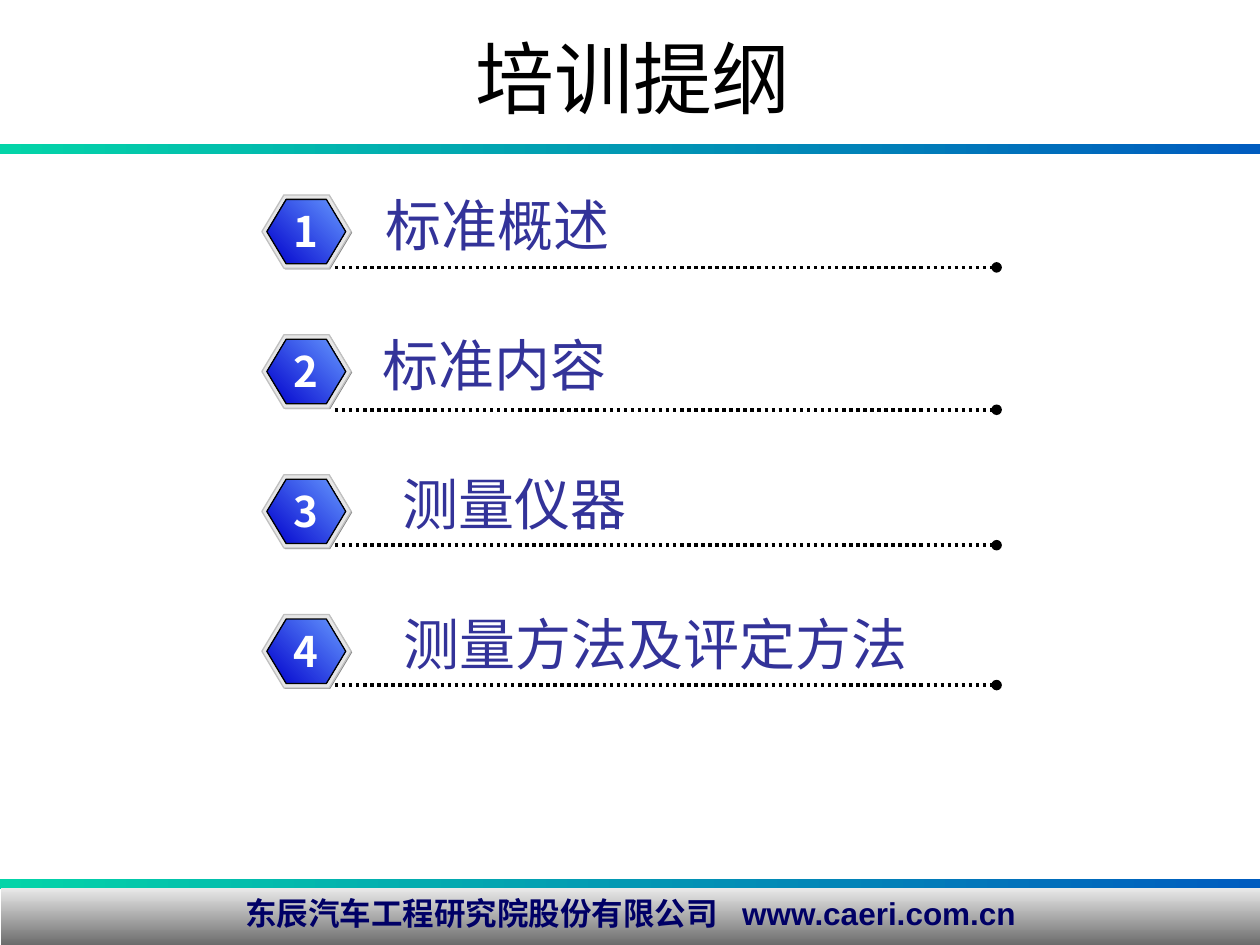
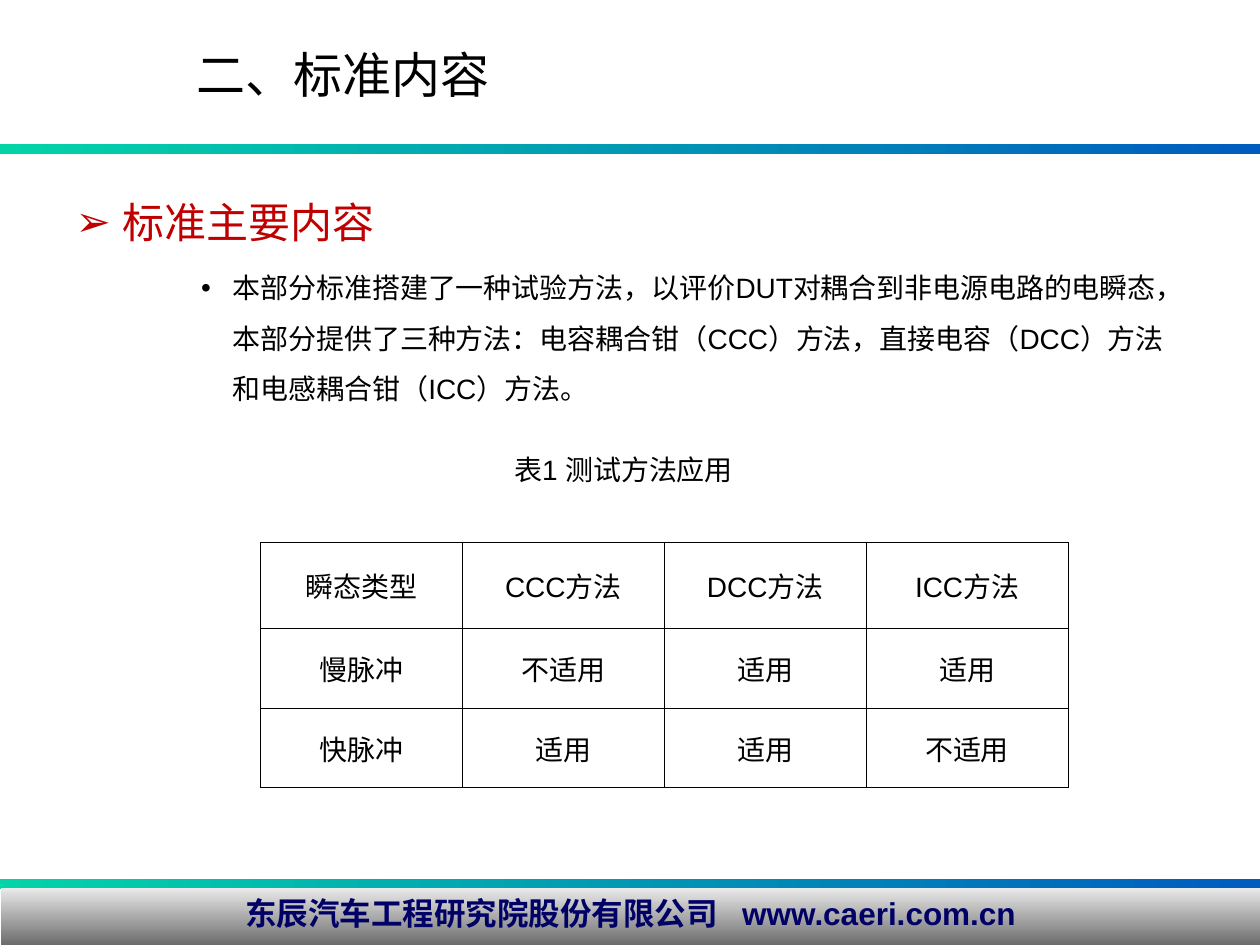
"""Build the training outline slide and the standard content slide."""
from pptx import Presentation
from pptx.dml.color import RGBColor as Rgb
from pptx.enum.dml import MSO_LINE as Dash
from pptx.enum.shapes import MSO_CONNECTOR as Link, MSO_SHAPE as Preset
from pptx.enum.text import MSO_ANCHOR as Anchor, MSO_AUTO_SIZE as Fit, PP_ALIGN as Align
from pptx.oxml import parse_xml
from pptx.oxml.ns import nsdecls, qn
from pptx.oxml.xmlchemy import OxmlElement as Node
from pptx.util import Cm, Pt

COLOURS = {
    "black": "000000", "white": "FFFFFF", "red": "C00000", "navy": "000066",
    "indigo": "333399", "mint": "03D4A8", "ocean": "005CBF", "mist": "EAEAEA",
    "slate": "6C6C6C", "shade": "808080", "rim": "E6E6E6", "rim_edge": "C0C0C0",
    "core_dark": "0000CC", "core_light": "6699FF",
}
CJK = "Noto Sans CJK SC"
STYLES = {
    "outline_title": ({"name": CJK, "size": Pt(45)}, "black"),
    "section_title": ({"name": "Calibri", "size": Pt(28)}, "black"),
    "topic": ({"name": CJK, "size": Pt(32)}, "indigo"),
    "number": ({"name": CJK, "size": Pt(24), "bold": True}, "white"),
    "heading": ({"name": "Arial", "size": Pt(24)}, "red"),
    "plain": ({"name": "Arial", "size": Pt(16)}, "black"),
    "footer": ({"name": "Arial", "size": Pt(18), "bold": True}, "navy"),
}
TOPICS = [("标准概述", 7.52, 5.39), ("标准内容", 7.46, 8.26),
          ("测量仪器", 7.87, 10.99), ("测量方法及评定方法", 7.88, 13.81)]
METHODS = [
    ("瞬态类型", "CCC方法", "DCC方法", "ICC方法"),
    ("慢脉冲", "不适用", "适用", "适用"),
    ("快脉冲", "适用", "适用", "不适用"),
]
SUMMARY = ("本部分标准搭建了一种试验方法，以评价DUT对耦合到非电源电路的电瞬态，"
           "本部分提供了三种方法：电容耦合钳（CCC）方法，直接电容（DCC）方法和"
           "电感耦合钳（ICC）方法。")


def rgb(colour):
    """Return the named colour."""
    return Rgb.from_string(COLOURS[colour])


def assign(target, **values):
    """Set each given attribute on the target."""
    for attribute, value in values.items():
        setattr(target, attribute, value)


def write(paragraph, text, style, align=Align.CENTER):
    """Add a run in one of the shared text styles and return it."""
    paragraph.alignment = align
    run = paragraph.add_run()
    run.text = text
    values, colour = STYLES[style]
    assign(run.font, **values)
    run.font.color.rgb = rgb(colour)
    east_asian = Node("a:ea")
    east_asian.set("typeface", CJK)
    run.font._element.find(qn("a:latin")).addnext(east_asian)
    return run


def place(part, left, top, width, height):
    """Move and size a part in centimetres."""
    assign(part, left=Cm(left), top=Cm(top), width=Cm(width), height=Cm(height))


def paint(part, colours, angle=0):
    """Fill with one colour, or with a gradient between two."""
    if len(colours) == 1:
        part.fill.solid()
        part.fill.fore_color.rgb = rgb(colours[0])
        return
    part.fill.gradient()
    part.fill.gradient_angle = angle
    for stop, colour in zip(part.fill.gradient_stops, colours):
        stop.color.rgb = rgb(colour)


def add_block(slide, preset, box, colours, angle=0, edge=None):
    """Add a filled preset shape, outlined if an edge colour is given."""
    block = slide.shapes.add_shape(preset, *map(Cm, box))
    block.shadow.inherit = False
    paint(block, colours, angle)
    if edge:
        block.line.color.rgb = rgb(edge)
        block.line.width = Pt(0.75)
    else:
        block.line.fill.background()
    return block


def add_label(slide, box, text, style, align=Align.CENTER, wrap=False, anchor=Anchor.TOP):
    """Add a single-paragraph text box that grows with its text."""
    frame = slide.shapes.add_textbox(*map(Cm, box)).text_frame
    assign(frame, word_wrap=wrap, vertical_anchor=anchor, auto_size=Fit.SHAPE_TO_FIT_TEXT)
    write(frame.paragraphs[0], text, style, align)


def add_title(slide, box, text, style, align, anchor):
    """Place and fill the title placeholder."""
    title = slide.shapes.title
    place(title, *box)
    assign(title.text_frame, vertical_anchor=anchor, auto_size=Fit.NONE)
    write(title.text_frame.paragraphs[0], text, style, align)


def add_master_bands(slide, master):
    """Draw both gradient bands and the footer, then hand them to the master."""
    bands = [add_block(slide, Preset.RECTANGLE, (0, top, 25.4, 0.2), ("mint", "ocean"))
             for top in (17.73, 2.9)]
    footer = add_block(slide, Preset.RECTANGLE, (0.02, 17.9, 25.38, 1.15),
                       ("mist", "slate"), 270)
    footer.text_frame.vertical_anchor = Anchor.TOP
    line = footer.text_frame.paragraphs[0]
    write(line, "东辰汽车工程研究院股份有限公司", "footer")
    gap = write(line, " ", "footer")
    gap.font._element.set("spc", "1000")
    write(line, "www.caeri.com.cn", "footer")
    for band in (*bands, footer):
        master.shapes.element.append(band.element)


def add_dotted_rule(slide, left, right, top):
    """Add a dotted line that ends in a dot."""
    rule = slide.shapes.add_connector(Link.STRAIGHT, Cm(left), Cm(top), Cm(right), Cm(top))
    rule.line.color.rgb = rgb("black")
    assign(rule.line, width=Pt(2), dash_style=Dash.ROUND_DOT)
    properties = rule._element.spPr
    dot = Node("a:tailEnd")
    dot.set("type", "oval")
    properties.find(qn("a:ln")).append(dot)
    properties.append(Node("a:effectLst"))


def add_topic(slide, number, topic, label_left, rule_top, top):
    """Add a numbered hexagon badge with its topic and dotted rule."""
    layers = [
        ((5.3, top + 0.02, 1.8, 1.48), ("shade",), None),
        ((5.28, top, 1.8, 1.48), ("rim",), "rim_edge"),
        ((5.38, top + 0.09, 1.59, 1.3), ("core_dark", "core_light"), "black"),
    ]
    for box, colours, edge in layers:
        hexagon = add_block(slide, Preset.HEXAGON, box, colours, 45, edge)
        hexagon.adjustments[0] = 0.3
    add_dotted_rule(slide, 6.75, 20.09, rule_top)
    add_label(slide, (label_left, top - 0.22, 12.2, 1.63), topic, "topic", Align.LEFT, True)
    add_label(slide, (5.67, top + 0.09, 0.99, 1.27), str(number), "number")


def add_bullet(paragraph, text, style, mark, indents, spacing):
    """Write a list paragraph with its own mark and hanging indent."""
    margin, hanging = indents
    properties = paragraph._p.get_or_add_pPr()
    properties.set("marL", str(Cm(margin)))
    properties.set("indent", str(-Cm(hanging)))
    properties.set("hangingPunct", "0")
    tint = COLOURS[STYLES[style][1]]
    for xml in (f'<a:buClr {nsdecls("a")}><a:srgbClr val="{tint}"/></a:buClr>',
                f'<a:buFont {nsdecls("a")} typeface="Arial"/>',
                f'<a:buChar {nsdecls("a")} char="{mark}"/>'):
        properties.append(parse_xml(xml))
    assign(paragraph, line_spacing=1.5, space_before=Pt(spacing))
    write(paragraph, text, style, Align.LEFT)


def add_border(cell):
    """Draw a thin black line on all four sides of a cell."""
    for side in ("lnL", "lnR", "lnT", "lnB"):
        cell._tc.get_or_add_tcPr().append(parse_xml(
            f'<a:{side} {nsdecls("a")} w="{Pt(0.45)}"><a:solidFill>'
            f'<a:srgbClr val="{COLOURS["black"]}"/></a:solidFill></a:{side}>'))


def add_methods_table(slide):
    """Add the table of test methods by transient type."""
    table = slide.shapes.add_table(len(METHODS), len(METHODS[0]), Cm(5.25), Cm(10.93),
                                   Cm(16.28), Cm(4.95)).table
    assign(table, first_row=False, horz_banding=False)
    for column in table.columns:
        column.width = Cm(4.07)
    for row, height, entries in zip(table.rows, (1.73, 1.61, 1.61), METHODS):
        row.height = Cm(height)
        for cell, entry in zip(row.cells, entries):
            add_border(cell)
            cell.fill.background()
            cell.vertical_anchor = Anchor.MIDDLE
            write(cell.text_frame.paragraphs[0], entry, "plain")


def build_outline(slide):
    """Fill the training outline slide."""
    add_title(slide, (0.41, 0.39, 24.7, 2.34), "培训提纲", "outline_title",
              Align.CENTER, Anchor.MIDDLE)
    for index, (topic, label_left, rule_top) in enumerate(TOPICS):
        add_topic(slide, index + 1, topic, label_left, rule_top, 3.93 + 2.82 * index)


def build_content(slide):
    """Fill the standard content slide."""
    add_title(slide, (3.7, 0.76, 20.42, 2.16), "二、标准内容", "section_title",
              Align.LEFT, Anchor.TOP)
    body = slide.placeholders[1]
    place(body, 1.27, 3.33, 22.86, 14.2)
    body.text_frame.auto_size = Fit.NONE
    add_bullet(body.text_frame.paragraphs[0], "标准主要内容", "heading", "➢", (0.95, 0.95), 0)
    summary = body.text_frame.add_paragraph()
    summary.level = 2
    add_bullet(summary, SUMMARY, "plain", "•", (3.17, 0.64), 4)
    add_label(slide, (9.98, 8.99, 5.18, 0.94), "表1 测试方法应用", "plain",
              anchor=Anchor.MIDDLE)
    add_methods_table(slide)


def main():
    """Build and save the two slides."""
    deck = Presentation()
    assign(deck, slide_width=Cm(25.4), slide_height=Cm(19.05))
    outline = deck.slides.add_slide(deck.slide_layouts[5])
    content = deck.slides.add_slide(deck.slide_layouts[1])
    add_master_bands(outline, deck.slide_master)
    build_outline(outline)
    build_content(content)
    deck.save("out.pptx")


if __name__ == "__main__":
    main()
